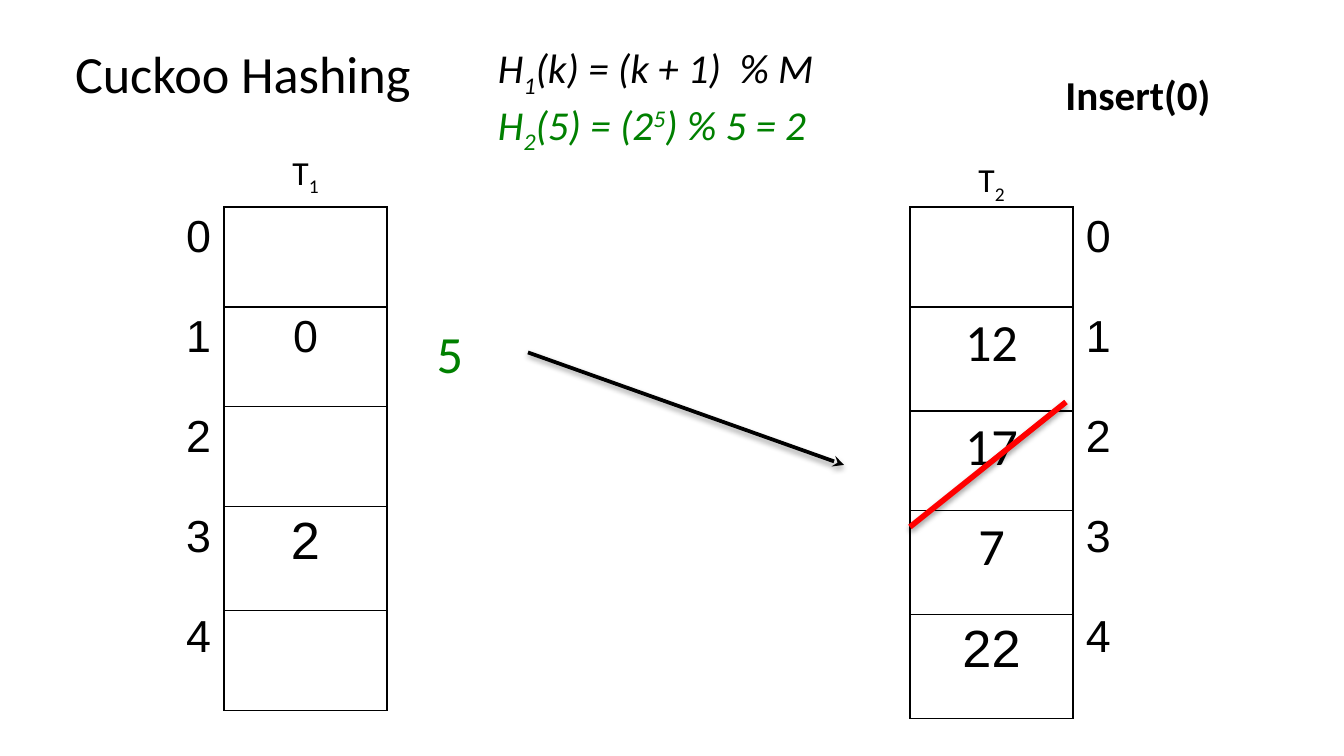
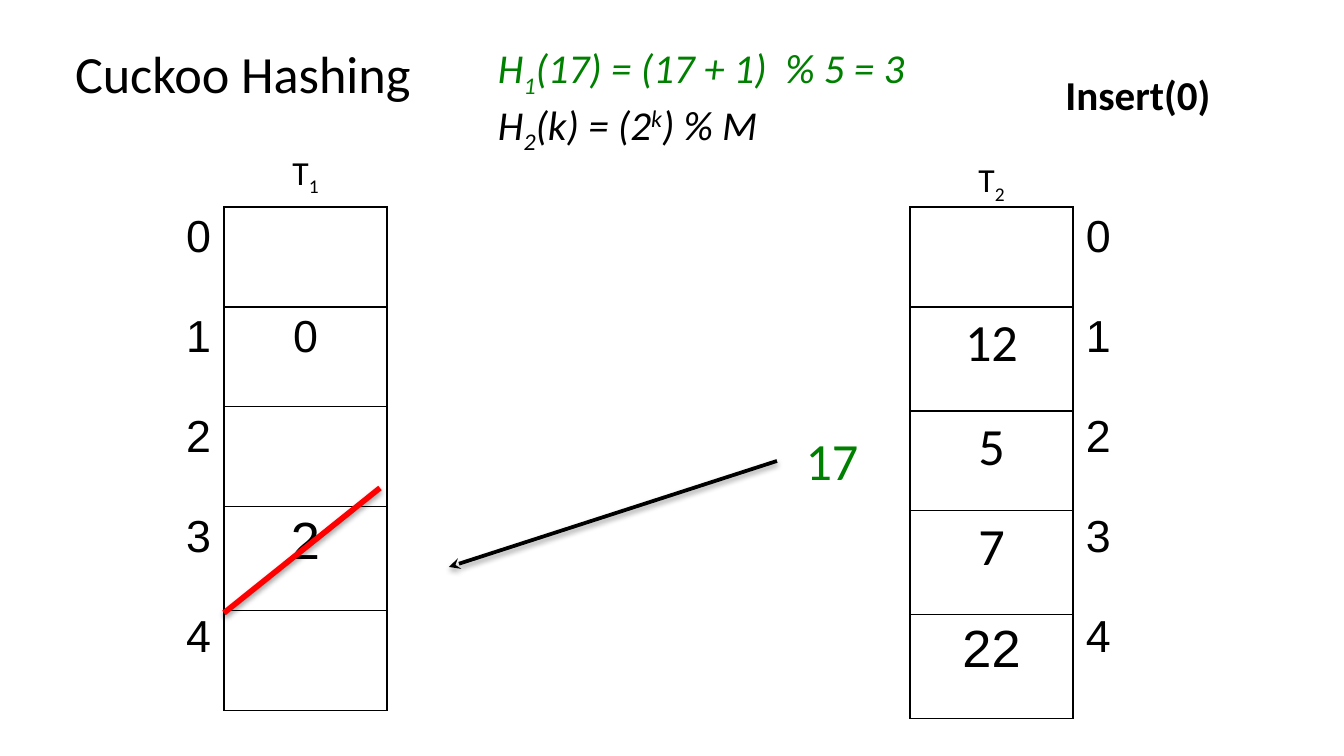
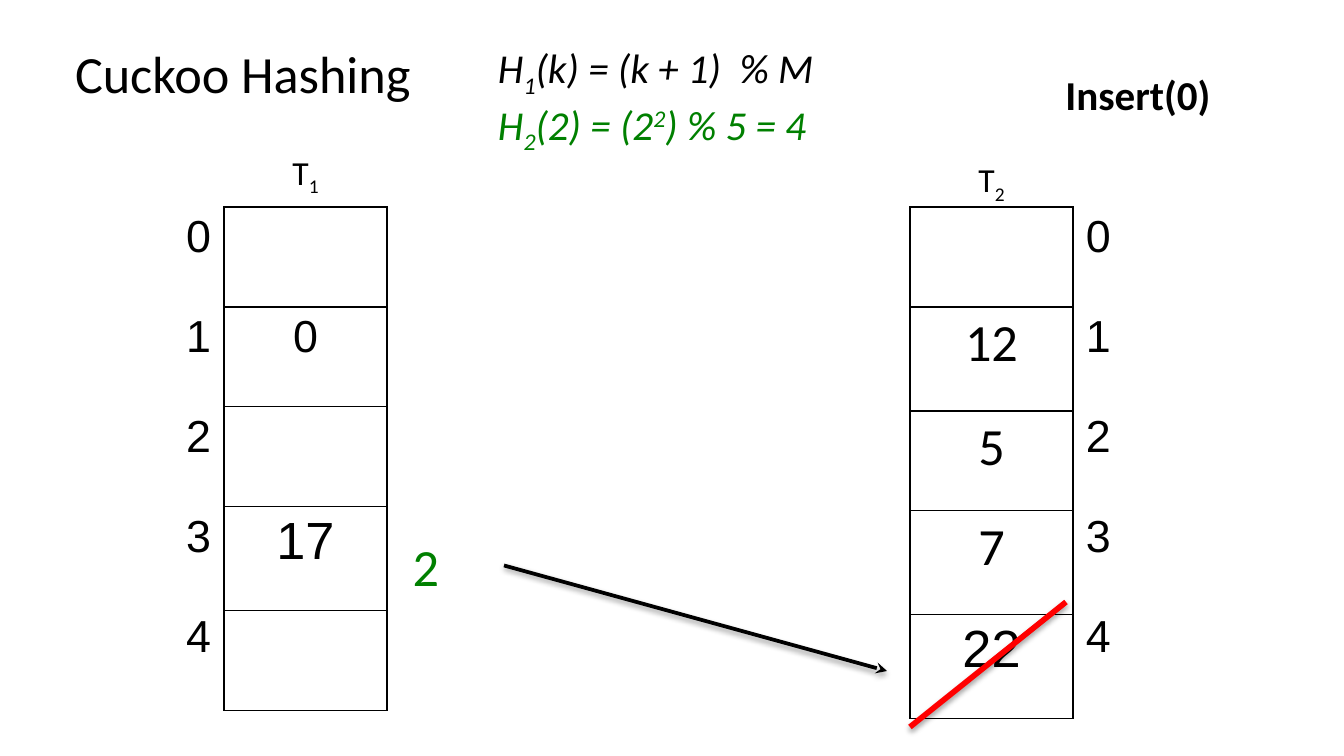
from lxml.etree import SubElement
from pptx import Presentation
from pptx.dml.color import RGBColor
from pptx.enum.shapes import MSO_CONNECTOR as MC
from pptx.enum.text import PP_ALIGN as AL
from pptx.oxml.ns import qn
from pptx.util import Emu, Pt

BLACK, GREEN, RED = "000000", "008000", "FF0000"
SANS, ARIAL = "Calibri", "Arial"
PLAIN, SUB, SUP = 0, -25000, 30000
M = 5
CELL_W, ROW_H, TALL_H = 163, 100, 104
TABLE_Y = 207
T1_X, T2_X = 224, 910


def px(n):
    return Emu(round(n * 914400 / 134.4))


def rgb(value):
    return RGBColor.from_string(value)


def add_run(p, text, size, font=SANS, color=BLACK, base=PLAIN, bold=False, italic=False):
    r = p.add_run()
    r.text = text
    r.font.size = Pt(size)
    r.font.name = font
    r.font.bold = bold
    r.font.italic = italic
    r.font.color.rgb = rgb(color)
    if base:
        r._r.get_or_add_rPr().set("baseline", str(base))


def set_margins(target, side, end):
    target.margin_left = target.margin_right = px(side)
    target.margin_top = target.margin_bottom = px(end)


def add_text(s, x, y, w, h, lines, size, align=AL.LEFT, **style):
    sp = s.shapes.add_textbox(px(x), px(y), px(w), px(h))
    tf = sp.text_frame
    tf.word_wrap = True
    set_margins(tf, 13, 7)
    for i, (runs, color) in enumerate(lines):
        p = tf.add_paragraph() if i else tf.paragraphs[0]
        p.alignment = align
        for text, base in runs:
            add_run(p, text, size, color=color, base=base, **style)
    return sp


def set_borders(cell, color):
    tcPr = cell._tc.get_or_add_tcPr()
    for side in ("L", "R", "T", "B"):
        ln = SubElement(tcPr, qn(f"a:ln{side}"), w=str(Pt(0.75)))
        if color:
            fill = SubElement(ln, qn("a:solidFill"))
            SubElement(fill, qn("a:srgbClr"), val=color)
        else:
            SubElement(ln, qn("a:noFill"))


def add_column(s, x, y, heights, entries, align, border=None):
    frame = s.shapes.add_table(len(heights), 1, px(x), px(y), px(CELL_W), px(sum(heights)))
    table = frame.table
    table.first_row = table.horz_banding = False
    for i, (height, entry) in enumerate(zip(heights, entries)):
        table.rows[i].height = px(height)
        cell = table.cell(i, 0)
        set_margins(cell, 13, 5)
        set_borders(cell, border)
        cell.fill.background()
        if entry:
            p = cell.text_frame.paragraphs[0]
            p.alignment = align
            add_run(p, *entry)


def add_hash_table(s, x, y, number, heights, entries, index_side, label_rise):
    add_column(s, x, y, heights, entries, AL.CENTER, BLACK)
    indexes = [(str(i), 24, ARIAL) for i in range(M)]
    align = AL.RIGHT if index_side < 0 else AL.LEFT
    add_column(s, x + index_side * CELL_W, y, [ROW_H] * M, indexes, align)
    label = [("T", PLAIN), (str(number), SUB)]
    add_text(s, x, y - label_rise, CELL_W, 54, [(label, BLACK)], 18, AL.CENTER)


def add_line(s, start, end, color, width, arrow=False):
    line = s.shapes.add_connector(MC.STRAIGHT, *map(px, start + end))
    line.line.color.rgb = rgb(color)
    line.line.width = Pt(width)
    if arrow:
        SubElement(line.line._get_or_add_ln(), qn("a:tailEnd"), type="stealth")
    effects = SubElement(line._element.spPr, qn("a:effectLst"))
    shadow = SubElement(effects, qn("a:outerShdw"), blurRad=str(Pt(3.1)), dist=str(Pt(1.6)),
                        dir="5400000", rotWithShape="0")
    clr = SubElement(shadow, qn("a:srgbClr"), val=BLACK)
    SubElement(clr, qn("a:alpha"), val="38000")
    return line


def add_strike(s, x, y):
    add_line(s, (x + 156, y), (x, y + 125), RED, 3)


def add_moving_key(s, x, y, key, start, end):
    w, h = 156, 77
    sp = add_text(s, x, y, w, h, [([(str(key), PLAIN)], GREEN)], 28, AL.CENTER)
    line = add_line(s, start or (x + w, y + h // 2), end, BLACK, 2, arrow=True)
    if start is None:
        line.begin_connect(sp, 3)


def hash1(key=None):
    k, end = ("k", "M") if key is None else (key, f"{M} = {(key + 1) % M}")
    runs = [("H", PLAIN), ("1", SUB), (f"({k}) = ({k} + 1)  % {end}", PLAIN)]
    return runs, BLACK if key is None else GREEN


def hash2(key=None):
    k, end = ("k", "M") if key is None else (key, f"{M} = {2 ** key % M}")
    runs = [("H", PLAIN), ("2", SUB), (f"({k}) = (2", PLAIN), (str(k), SUP), (f") % {end}", PLAIN)]
    return runs, BLACK if key is None else GREEN


def add_header(s, formulas):
    add_text(s, 485, 36, 470, 113, formulas, 22, italic=True)
    add_text(s, 62, 34, 364, 77, [([("Cuckoo Hashing", PLAIN)], BLACK)], 28)
    add_text(s, 1028, 62, 220, 63, [([("Insert(0)", PLAIN)], BLACK)], 22, AL.CENTER, bold=True)


def add_step(prs, formulas, t1_slot3, t2_slot2, moving, strike):
    s = prs.slides.add_slide(prs.slide_layouts[6])
    add_header(s, formulas)
    t1 = [None, ("0", 24, ARIAL), None, (t1_slot3, 28, ARIAL), None]
    t2 = [None, ("12", 28), (t2_slot2, 28), ("7", 28), ("22", 28, ARIAL)]
    add_hash_table(s, T1_X, TABLE_Y, 1, [ROW_H, ROW_H, ROW_H, TALL_H, ROW_H], t1, -1, 62)
    add_hash_table(s, T2_X, TABLE_Y, 2, [ROW_H, TALL_H, ROW_H, TALL_H, TALL_H], t2, 1, 55)
    add_moving_key(s, *moving)
    add_strike(s, *strike)


def main():
    prs = Presentation()
    prs.slide_width, prs.slide_height = px(1344), px(756)
    add_step(prs, [hash1(), hash2(5)], "2", "17",
             (372, 314, 5, None, (844, 465)), (T2_X, 402))
    add_step(prs, [hash1(17), hash2()], "2", "5",
             (754, 421, 17, (777, 461), (449, 567)), (T1_X, 488))
    add_step(prs, [hash1(), hash2(2)], "17", "5",
             (348, 527, 2, None, (887, 671)), (T2_X, 602))
    prs.save("out.pptx")


if __name__ == "__main__":
    main()
